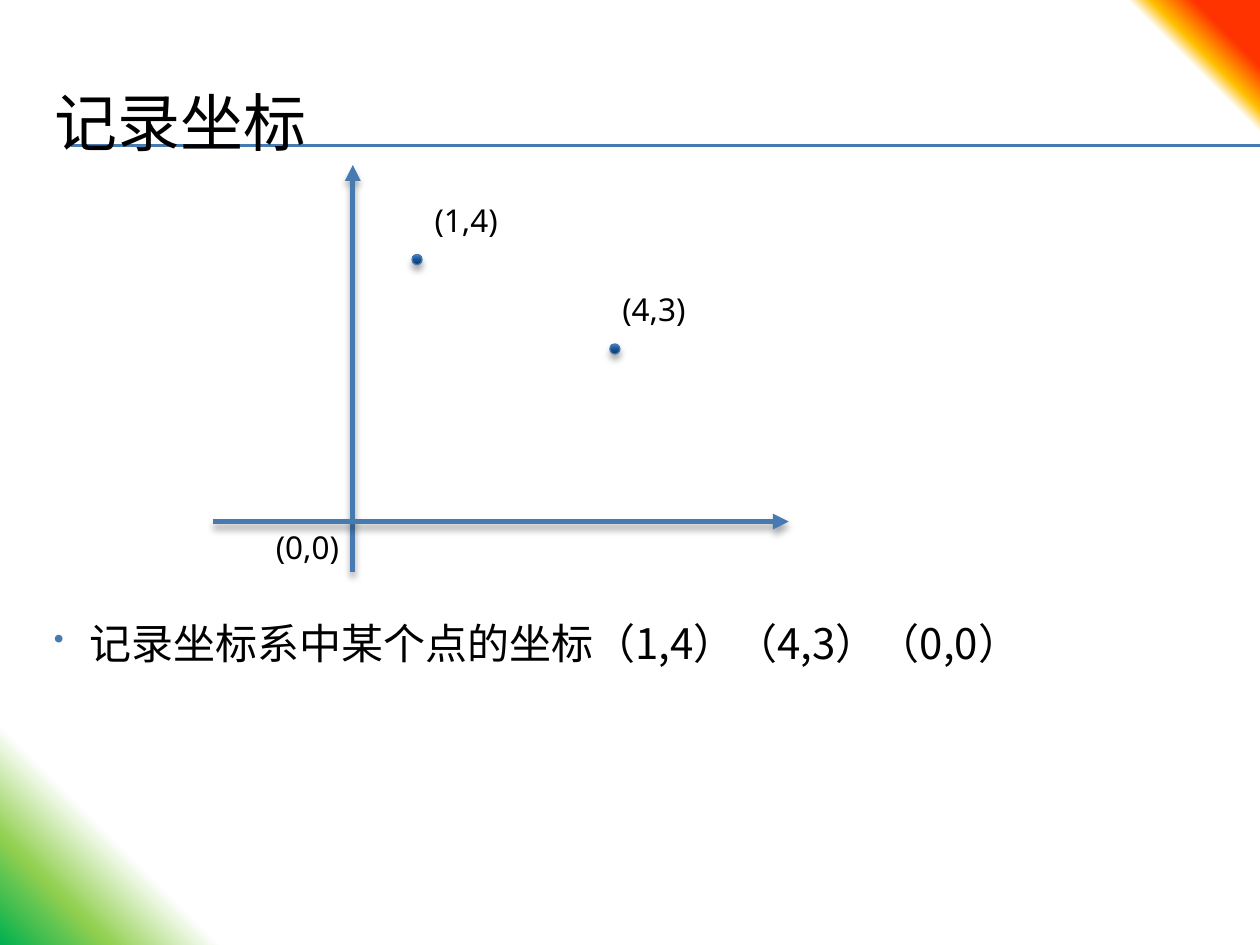
from pptx import Presentation
from pptx.dml.color import RGBColor
from pptx.enum.shapes import MSO_CONNECTOR, MSO_SHAPE
from pptx.enum.text import MSO_ANCHOR, MSO_AUTO_SIZE, PP_ALIGN
from pptx.oxml import parse_xml
from pptx.oxml.ns import nsdecls, qn
from pptx.util import Inches, Pt

STRAIGHT, OVAL = MSO_CONNECTOR.STRAIGHT, MSO_SHAPE.OVAL
MIDDLE, LEFT = MSO_ANCHOR.MIDDLE, PP_ALIGN.LEFT
NO_FIT, GROW = MSO_AUTO_SIZE.NONE, MSO_AUTO_SIZE.SHAPE_TO_FIT_TEXT
LATIN, CJK = "Noto Sans", "Noto Sans CJK SC"
BLUE, BLACK = "477AB1", "000000"

TITLE = "记录坐标"
BULLET = "记录坐标系中某个点的坐标（1,4）（4,3）（0,0）"
RULE_TOPS = [1.15, 1.15, 1.16]
AXES = [((2.8, 4.54), (2.8, 1.31)), ((1.69, 4.14), (6.26, 4.14))]
LABELS = [("(0,0)", 2.09, 4.14), ("(4,3)", 4.84, 2.25), ("(1,4)", 3.35, 1.55)]
DOTS = [(4.84, 2.73), (3.27, 2.02)]
DOT_SIZE = 0.08
CORNER_STOPS = [(0, "FF3300"), (3, "FF3300"), (5, "FFC000"), (6, "FFFFFF"),
                (90, "FFFFFF"), (95, "92D050"), (100, "00B050")]
DOT_STOPS = [(0, "0D3560"), (50, "185597"), (70, "2866AB"), (100, "4382CE")]


def rgb(color):
    return RGBColor.from_string(color)


def set_gradient(fill, element, stops, angle):
    """Give the element a linear gradient, angle clockwise in degrees."""
    fill.solid()
    solid = element.find(".//" + qn("a:solidFill"))
    marks = "".join(f'<a:gs pos="{pos * 1000}"><a:srgbClr val="{color}"/></a:gs>'
                    for pos, color in stops)
    solid.getparent().replace(solid, parse_xml(
        f'<a:gradFill {nsdecls("a")} rotWithShape="1"><a:gsLst>{marks}</a:gsLst>'
        f'<a:lin ang="{angle * 60000}" scaled="0"/></a:gradFill>'))


def set_effect(shape, shadow):
    inner = (f'<a:outerShdw blurRad="{Pt(4)}" dist="{Pt(3)}" dir="5400000" '
             f'rotWithShape="0"><a:srgbClr val="{BLACK}"><a:alpha val="35000"/>'
             '</a:srgbClr></a:outerShdw>') if shadow else ""
    shape._element.spPr.append(
        parse_xml(f'<a:effectLst {nsdecls("a")}>{inner}</a:effectLst>'))


def set_line(shape, width):
    shape.line.color.rgb = rgb(BLUE)
    shape.line.width = Pt(width)


def add_line(shapes, start, end, width, arrow=False):
    line = shapes.add_connector(STRAIGHT, *map(Inches, start + end))
    set_line(line, width)
    if arrow:
        line.line._get_or_add_ln().append(
            parse_xml(f'<a:tailEnd {nsdecls("a")} type="triangle"/>'))
    set_effect(line, shadow=arrow)


def write(shape, text, size, font, **frame):
    tf = shape.text_frame
    for name, value in frame.items():
        setattr(tf, name, value)
    p = tf.paragraphs[0]
    p.alignment = LEFT
    r = p.add_run()
    r.text = text
    r.font.size, r.font.name = Pt(size), font
    r.font.color.rgb = rgb(BLACK)
    r.font._element.find(qn("a:latin")).addnext(
        parse_xml(f'<a:ea {nsdecls("a")} typeface="{font}"/>'))
    return p


def add_bullet(p, indent):
    p.space_before = Pt(5)
    pPr = p._p.get_or_add_pPr()
    pPr.set("marL", str(Inches(indent)))
    pPr.set("indent", str(-Inches(indent)))
    for tag in (f'buClr {nsdecls("a")}><a:srgbClr val="{BLUE}"/></a:buClr',
                f'buSzPct {nsdecls("a")} val="70000"/',
                f'buChar {nsdecls("a")} char="•"/'):
        pPr.append(parse_xml(f"<a:{tag}>"))


def main():
    prs = Presentation()
    prs.slide_width, prs.slide_height = Inches(10), Inches(7.5)
    slide = prs.slides.add_slide(prs.slide_layouts[5])
    shapes = slide.shapes
    set_gradient(slide.background.fill, slide._element, CORNER_STOPS, 135)

    for top in RULE_TOPS:
        add_line(shapes, (0.56, top), (10, top), 0.75)

    title = shapes.title
    title.left, title.top, title.width, title.height = map(
        Inches, (0.33, 0.5, 9.5, 0.92))
    write(title, TITLE, 36, CJK, vertical_anchor=MIDDLE, auto_size=NO_FIT)
    shapes._spTree.append(title._element)

    body = shapes.add_textbox(*map(Inches, (0.33, 4.85, 9.47, 1.8)))
    add_bullet(write(body, BULLET, 24, CJK, word_wrap=True), 0.28)

    for start, end in AXES:
        add_line(shapes, start, end, 3, arrow=True)

    for left, top in DOTS:
        dot = shapes.add_shape(OVAL, *map(Inches, (left, top, DOT_SIZE, DOT_SIZE)))
        set_gradient(dot.fill, dot._element, DOT_STOPS, 270)
        set_line(dot, 0.75)
        set_effect(dot, shadow=True)

    for text, left, top in LABELS:
        label = shapes.add_textbox(*map(Inches, (left, top, 0.71, 0.4)))
        write(label, text, 18, LATIN, word_wrap=False, auto_size=GROW)

    prs.save("out.pptx")


if __name__ == "__main__":
    main()
